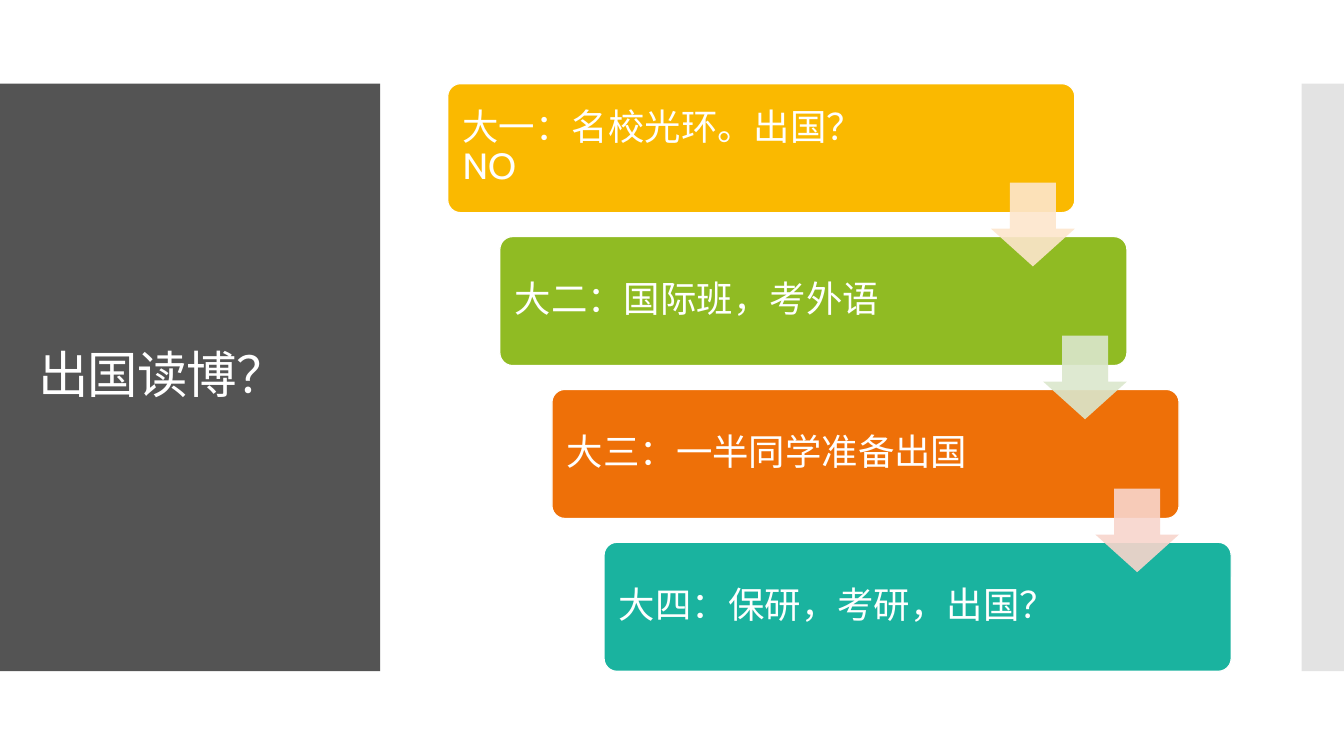
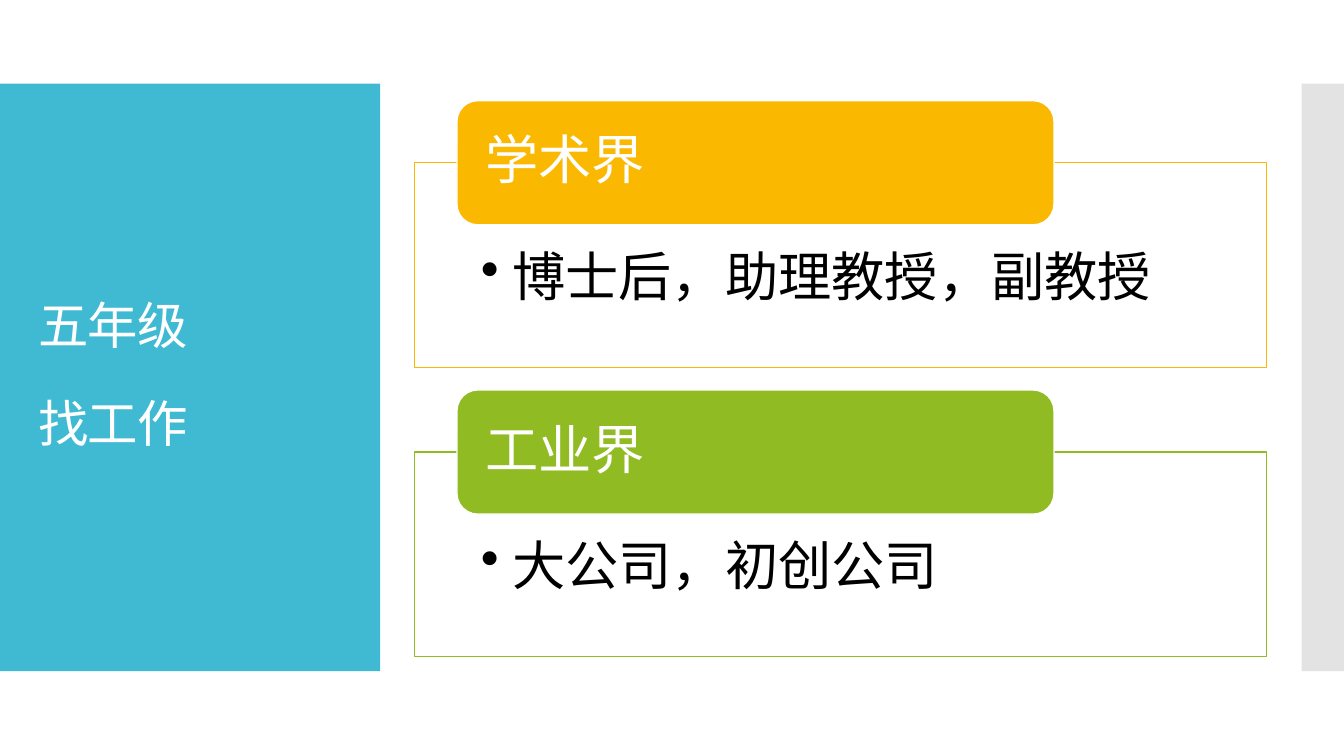
from pptx import Presentation
from pptx.dml.color import RGBColor
from pptx.enum.shapes import MSO_SHAPE as SHAPE
from pptx.enum.text import MSO_ANCHOR as ANCHOR, MSO_AUTO_SIZE as AUTO_SIZE, PP_ALIGN as ALIGN
from pptx.oxml.ns import qn
from pptx.util import Inches, Pt
from lxml.etree import SubElement

FONT = "Cabin"
WHITE = RGBColor(0xFF, 0xFF, 0xFF)
BLACK = RGBColor(0x00, 0x00, 0x00)
CHARCOAL = RGBColor(0x54, 0x54, 0x54)
SKY = RGBColor(0x40, 0xBA, 0xD2)
SILVER = RGBColor(0xC8, 0xC8, 0xC8)
AMBER = RGBColor(0xFA, 0xB9, 0x00)
GREEN = RGBColor(0x90, 0xBB, 0x23)
ORANGE = RGBColor(0xEE, 0x70, 0x08)
TEAL = RGBColor(0x1A, 0xB3, 0x9F)
PALE_AMBER = RGBColor(0xFD, 0xE6, 0xCC)
PALE_GREEN = RGBColor(0xDB, 0xE7, 0xCD)
PALE_RED = RGBColor(0xF8, 0xD5, 0xCC)

SLIDE_W, SLIDE_H = 13.33, 7.5
BAND_TOP, BAND_H = 0.83, 5.83
PANEL_W, EDGE_W = 3.77, 0.42
LINE_W = 0.85

YEARS = [
    ("大一：名校光环。出国？NO", AMBER, PALE_AMBER),
    ("大二：国际班，考外语", GREEN, PALE_GREEN),
    ("大三：一半同学准备出国", ORANGE, PALE_RED),
    ("大四：保研，考研，出国？", TEAL, None),
]
CAREERS = [
    ("学术界", "博士后，助理教授，副教授", AMBER),
    ("工业界", "大公司，初创公司", GREEN),
]


def set_opacity(color_format, percent):
    """Add an alpha value to the solid colour of a fill."""
    color = color_format.find(".//" + qn("a:srgbClr"))
    SubElement(color, qn("a:alpha")).set("val", str(percent * 1000))


def add_box(slide, kind, left, top, width, height, fill, line=None, opacity=100, adjust=()):
    box = slide.shapes.add_shape(kind, *map(Inches, (left, top, width, height)))
    box.shadow.inherit = False
    for index, value in enumerate(adjust):
        box.adjustments[index] = value
    box.fill.solid()
    box.fill.fore_color.rgb = fill
    if opacity < 100:
        set_opacity(box.element.spPr.find(qn("a:solidFill")), opacity)
    if line is None:
        box.line.fill.background()
    else:
        box.line.color.rgb = line
        box.line.width = Pt(LINE_W)
    return box


def write(shape, *lines, size, color=WHITE, anchor=ANCHOR.MIDDLE,
          insets=(0.1, 0.05, 0.1, 0.05), gap=0, bullet_indent=0, tracking=0):
    """Fill a shape with one paragraph per line; insets run left, top, right, bottom."""
    frame = shape.text_frame
    frame.word_wrap = True
    frame.auto_size = AUTO_SIZE.NONE
    frame.vertical_anchor = anchor
    (frame.margin_left, frame.margin_top,
     frame.margin_right, frame.margin_bottom) = map(Inches, insets)
    for index, line in enumerate(lines):
        paragraph = frame.add_paragraph() if index else frame.paragraphs[0]
        paragraph.alignment = ALIGN.LEFT
        paragraph.line_spacing = 0.9
        paragraph.space_before = Pt(gap if index else 0)
        if bullet_indent:
            properties = paragraph._p.get_or_add_pPr()
            properties.set("marL", str(Inches(bullet_indent)))
            properties.set("indent", str(-Inches(bullet_indent)))
            SubElement(properties, qn("a:buChar")).set("char", "•")
        run = paragraph.add_run()
        run.text = line
        run.font.name = FONT
        run.font.size = Pt(size)
        run.font.color.rgb = color
        if tracking:
            run.font._element.set("spc", str(round(tracking * 100)))


def add_titled_slide(prs, panel_color, *title_lines):
    """Start a slide with the title panel on the left and the edge band on the right."""
    slide = prs.slides.add_slide(prs.slide_layouts[5])
    add_box(slide, SHAPE.RECTANGLE, 0, BAND_TOP, PANEL_W, BAND_H, panel_color)
    add_box(slide, SHAPE.RECTANGLE, SLIDE_W - EDGE_W, BAND_TOP, EDGE_W, BAND_H,
            SILVER, opacity=50)
    title = slide.shapes.title
    slide.shapes.element.append(title.element)  # bring the title in front of its panel
    title.left, title.top, title.width, title.height = map(Inches, (0.28, 1.23, 3.22, 5.03))
    write(title, *title_lines, size=36, gap=31, tracking=-0.6)
    return slide


def add_staircase(slide, years):
    """Draw cards stepping down to the right, with an arrow across each gap."""
    left, card_w, card_h, step_x, arrow = 4.44, 6.22, 1.28, 0.517, 0.83
    step_y = (BAND_H - card_h) / (len(years) - 1)
    corners = [(left + i * step_x, BAND_TOP + i * step_y) for i in range(len(years))]
    for (x, y), (label, color, _) in zip(corners, years):
        card = add_box(slide, SHAPE.ROUNDED_RECTANGLE, x, y, card_w, card_h,
                       color, line=WHITE, adjust=(0.1,))
        write(card, label, size=26, insets=(0.11, 0.11, 1.62, 0.11))
    for (x, y), (_, _, pale) in zip(corners[:-1], years):
        gap_middle = y + (card_h + step_y) / 2
        add_box(slide, SHAPE.DOWN_ARROW, x + card_w - arrow, gap_middle - arrow / 2,
                arrow, arrow, pale, opacity=90, adjust=(0.55, 0.45))


def add_career(slide, top, heading, detail, color):
    """Draw an outlined box with a coloured heading overlapping its top edge."""
    left, box_w, box_h, tab_w, tab_h = 4.11, 8.45, 2.03, 5.92, 1.23
    box = add_box(slide, SHAPE.RECTANGLE, left, top + tab_h / 2, box_w, box_h,
                  WHITE, line=color, opacity=90)
    write(box, detail, size=38, color=BLACK, anchor=ANCHOR.TOP,
          insets=(0.66, 0.87, 0.66, 0.3), bullet_indent=0.31)
    tab = add_box(slide, SHAPE.ROUNDED_RECTANGLE, left + box_w / 20, top, tab_w, tab_h,
                  color, line=WHITE)
    write(tab, heading, size=38, insets=(0.22, 0, 0.22, 0))


def main():
    prs = Presentation()
    prs.slide_width, prs.slide_height = Inches(SLIDE_W), Inches(SLIDE_H)

    add_staircase(add_titled_slide(prs, CHARCOAL, "出国读博？"), YEARS)

    careers_slide = add_titled_slide(prs, SKY, "五年级", "找工作")
    for row, career in enumerate(CAREERS):
        add_career(careers_slide, 1 + row * 2.87, *career)

    prs.save("out.pptx")


if __name__ == "__main__":
    main()
